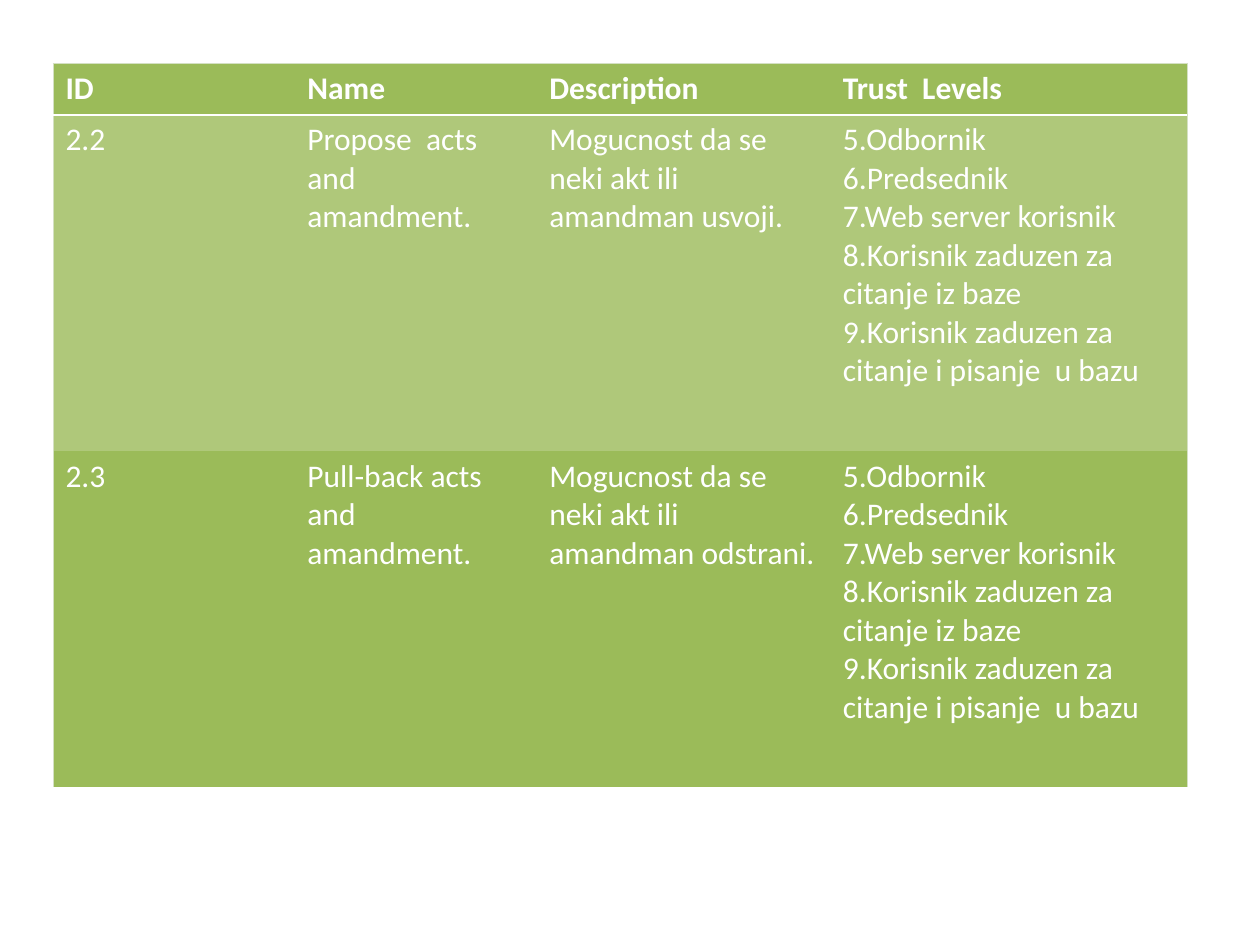
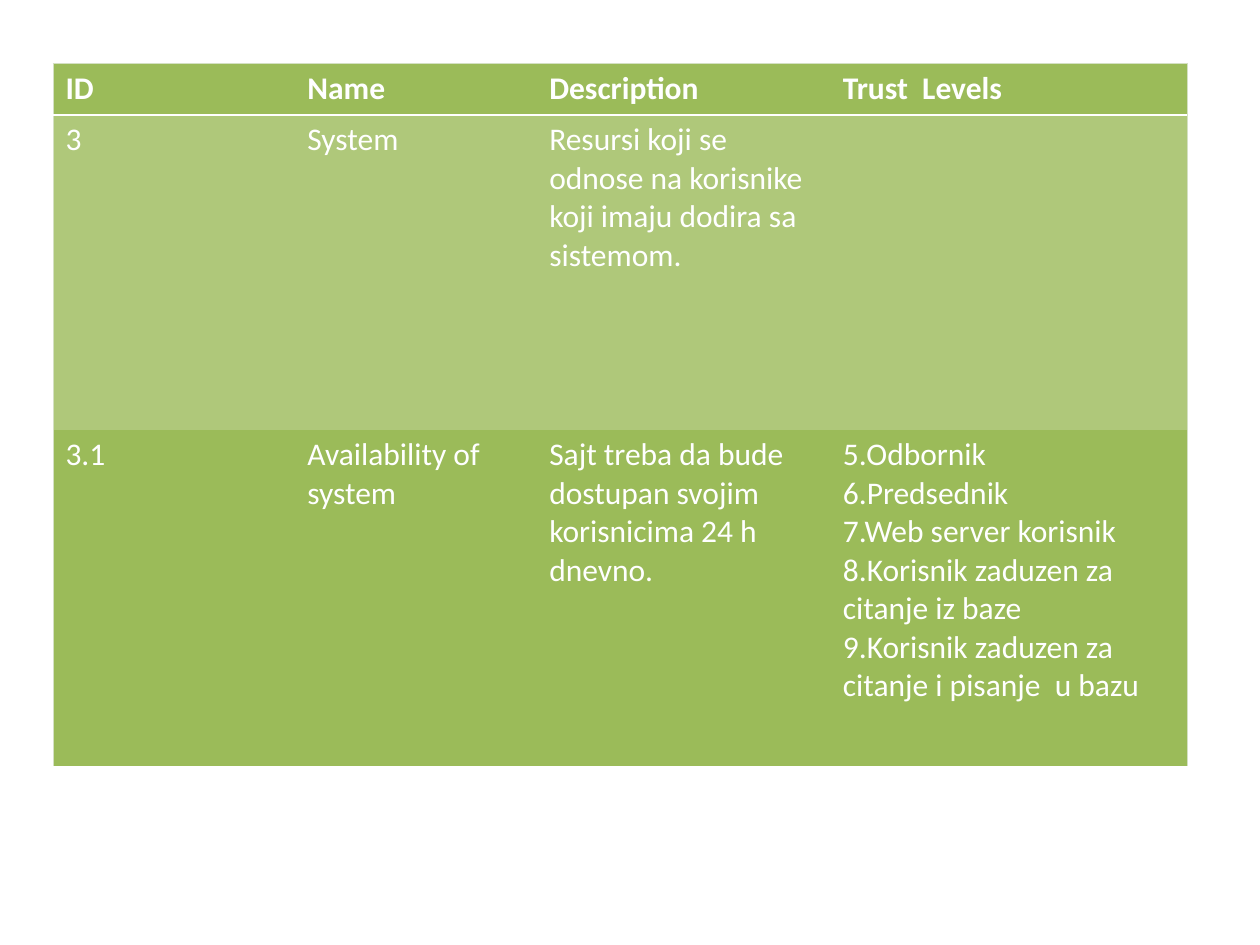
from dataclasses import dataclass

from lxml import etree
from pptx import Presentation
from pptx.dml.color import RGBColor
from pptx.oxml.ns import qn
from pptx.util import Inches, Pt

BLANK_LAYOUT = 6


@dataclass(frozen=True)
class Theme:
    font: str = "Calibri"
    size: float = 18
    text: str = "FFFFFF"
    strong_band: str = "9BBB59"
    soft_band: str = "AFC87A"


@dataclass(frozen=True)
class Border:
    color: str
    width: float


@dataclass(frozen=True)
class Asset:
    number: str
    name: str
    description: str
    trust_levels: tuple[str, ...]
    height: float


THEME = Theme()
OUTER_EDGE = Border("D4E0C3", 0.34)
HEADER_RULE = Border("FFFFFF", 1.47)

TABLE_LEFT, TABLE_TOP = 0.42, 0.5
COLUMN_WIDTHS = (1.92, 1.92, 2.33, 2.83)
HEADER_HEIGHT = 0.41
HEADINGS = ("ID", "Name", "Description", "Trust  Levels")

ALL_USERS = (
    "5.Odbornik",
    "6.Predsednik",
    "7.Web server korisnik",
    "8.Korisnik zaduzen za citanje iz baze",
    "9.Korisnik zaduzen za citanje i pisanje  u bazu",
)

PAGES = (
    (
        Asset("2.2", "Propose  acts and amandment.",
              "Mogucnost da se neki akt ili amandman usvoji.", ALL_USERS, 2.67),
        Asset("2.3", "Pull-back acts and amandment.",
              "Mogucnost da se neki akt ili amandman odstrani.", ALL_USERS, 2.67),
    ),
    (
        Asset("3", "System",
              "Resursi koji se odnose na korisnike koji imaju dodira sa sistemom.", (), 2.5),
        Asset("3.1", "Availability of system",
              "Sajt treba da bude dostupan svojim korisnicima 24 h dnevno.", ALL_USERS, 2.67),
    ),
)


def set_border(cell, side: str, border: Border | None) -> None:
    """Draw one cell edge, or hide it when there is no border."""
    line = etree.SubElement(cell._tc.get_or_add_tcPr(), qn(f"a:ln{side}"))
    if border is None:
        etree.SubElement(line, qn("a:noFill"))
        return
    line.set("w", str(int(Pt(border.width))))
    fill = etree.SubElement(line, qn("a:solidFill"))
    etree.SubElement(fill, qn("a:srgbClr"), val=border.color)


def write_lines(cell, lines: tuple[str, ...], *, bold: bool) -> None:
    frame = cell.text_frame
    for index, line in enumerate(lines):
        para = frame.paragraphs[0] if index == 0 else frame.add_paragraph()
        span = para.add_run()
        span.text = line
        span.font.name = THEME.font
        span.font.size = Pt(THEME.size)
        span.font.bold = bold
        span.font.color.rgb = RGBColor.from_string(THEME.text)


def format_cell(cell, row: int, column: int) -> None:
    """Give a cell its margins, outer edges, header rule and band colour."""
    cell.margin_left = cell.margin_right = Inches(0.1)
    cell.margin_top = cell.margin_bottom = Inches(0.05)
    last_column = len(COLUMN_WIDTHS) - 1
    set_border(cell, "L", OUTER_EDGE if column == 0 else None)
    set_border(cell, "R", OUTER_EDGE if column == last_column else None)
    set_border(cell, "T", {0: OUTER_EDGE, 1: HEADER_RULE}.get(row))
    set_border(cell, "B", HEADER_RULE if row == 0 else None)
    cell.fill.solid()
    band = THEME.soft_band if row % 2 else THEME.strong_band
    cell.fill.fore_color.rgb = RGBColor.from_string(band)


def add_asset_table(page, assets: tuple[Asset, ...]) -> None:
    heights = (HEADER_HEIGHT, *(asset.height for asset in assets))
    rows = [[(heading,) for heading in HEADINGS]]
    rows += [[(asset.number,), (asset.name,), (asset.description,), asset.trust_levels]
             for asset in assets]
    table = page.shapes.add_table(
        len(rows), len(COLUMN_WIDTHS), Inches(TABLE_LEFT), Inches(TABLE_TOP),
        Inches(sum(COLUMN_WIDTHS)), Inches(sum(heights))).table
    for column, width in zip(table.columns, COLUMN_WIDTHS):
        column.width = Inches(width)
    for row, (height, contents) in enumerate(zip(heights, rows)):
        table.rows[row].height = Inches(height)
        for column, lines in enumerate(contents):
            cell = table.cell(row, column)
            format_cell(cell, row, column)
            write_lines(cell, lines, bold=row == 0)


def main() -> None:
    deck = Presentation()
    deck.slide_width, deck.slide_height = Inches(10), Inches(7.5)
    for assets in PAGES:
        page = deck.slides.add_slide(deck.slide_layouts[BLANK_LAYOUT])
        add_asset_table(page, assets)
    deck.save("out.pptx")


if __name__ == "__main__":
    main()
